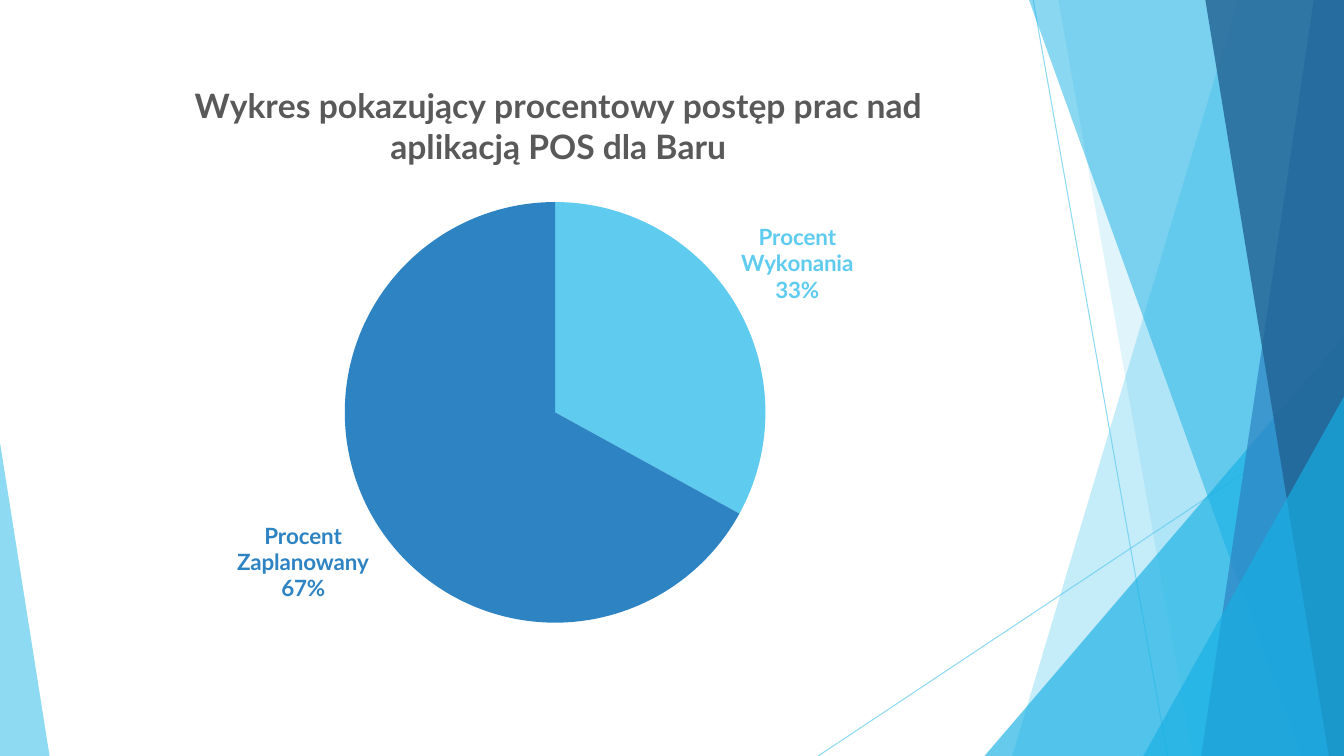
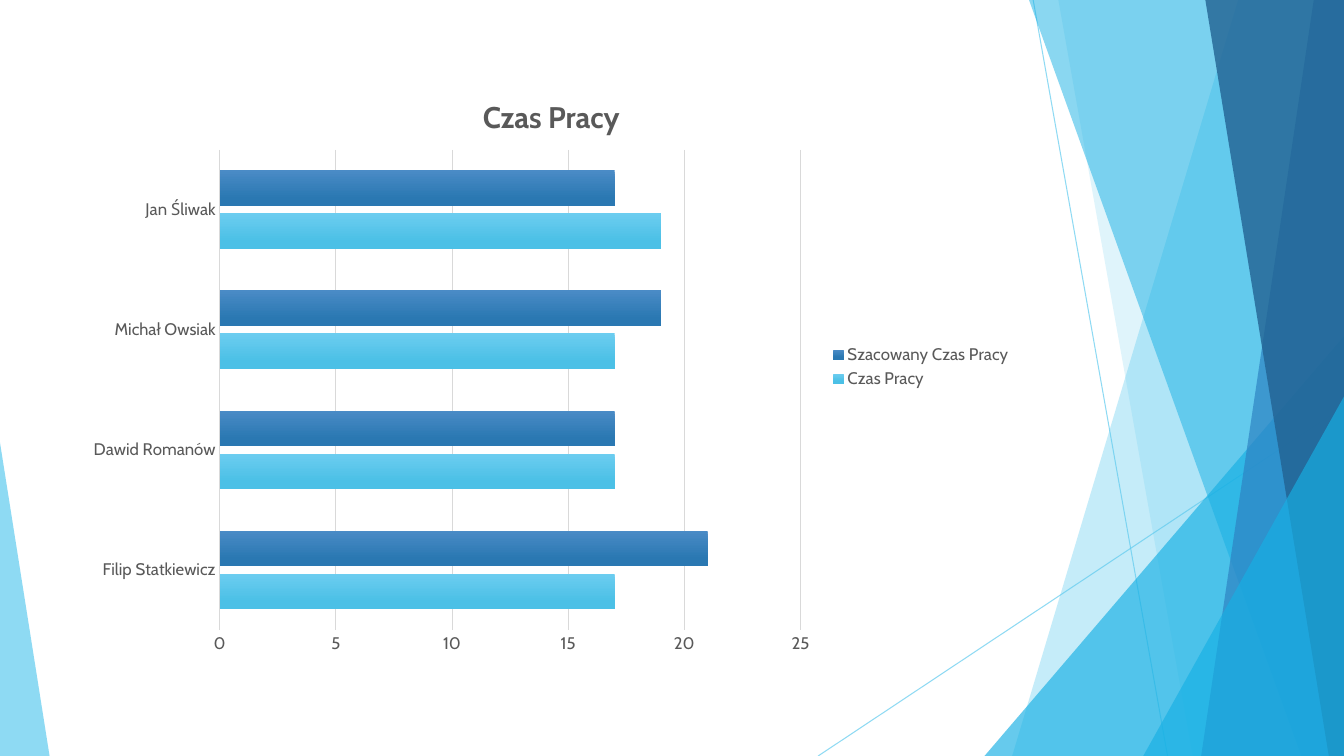
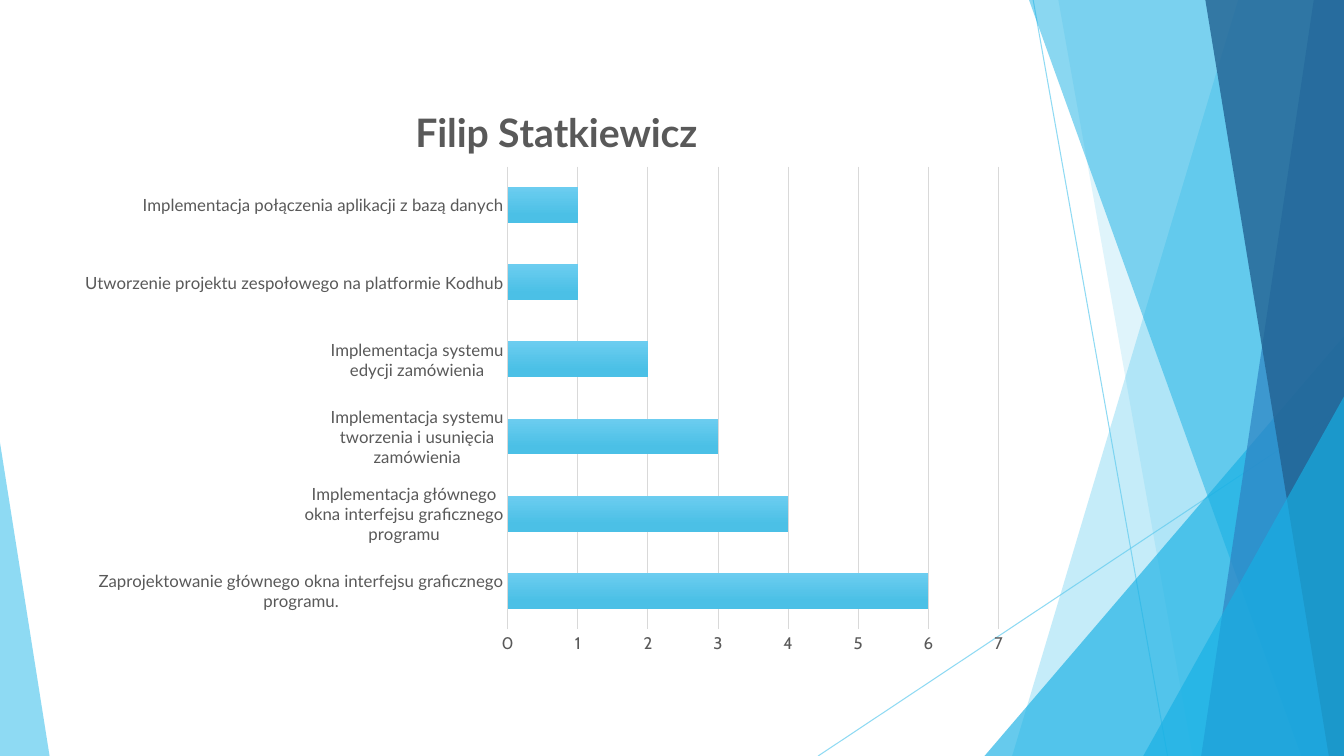
from lxml.etree import SubElement
from pptx import Presentation
from pptx.chart.data import CategoryChartData
from pptx.dml.color import RGBColor
from pptx.enum.chart import XL_CHART_TYPE, XL_LABEL_POSITION, XL_LEGEND_POSITION, XL_TICK_MARK
from pptx.enum.shapes import MSO_CONNECTOR, MSO_SHAPE
from pptx.oxml.ns import qn
from pptx.util import Inches, Pt

COLUMNS, ROWS = 16, 9
COLORS = {
    "sky": "5FCBEF", "cyan": "17B0E4", "blue": "2E83C3", "navy": "226292",
    "text": "595959", "grid": "D9D9D9",
    "sky_top": "6CCDF0", "sky_bottom": "4BC0E6",
    "blue_top": "4A8BC6", "blue_bottom": "2A78B2",
}
SKY_BARS = ("sky_top", "sky_bottom")
BLUE_BARS = ("blue_top", "blue_bottom")


def rgb(name):
    """Return the named colour."""
    return RGBColor.from_string(COLORS[name])


def style_font(font, size, name="Cabin", color="text", bold=False):
    """Format a font."""
    font.size, font.name, font.bold = Pt(size), name, bold
    font.color.rgb = rgb(color)


def write(frame, text, **style):
    """Put one formatted span of text into a text frame."""
    span = frame.paragraphs[0].add_run()
    span.text = text
    style_font(span.font, **style)


def set_opacity(shape, percent):
    """Make the explicit colours of a shape partly transparent."""
    for color in shape.element.iter(qn("a:srgbClr")):
        SubElement(color, qn("a:alpha"), val=str(percent * 1000))


def set_layout(parent, index, inner=False, **shares):
    """Place a chart part by shares (x, y, w, h) of the chart's size."""
    layout = parent.find(qn("c:layout"))
    if layout is None:
        layout = SubElement(parent, qn("c:layout"))
        parent.insert(index, layout)
    manual = SubElement(layout, qn("c:manualLayout"))
    if inner:
        SubElement(manual, qn("c:layoutTarget"), val="inner")
    for side in ("x", "y"):
        SubElement(manual, qn(f"c:{side}Mode"), val="edge")
    for side, share in shares.items():
        SubElement(manual, qn(f"c:{side}"), val=str(share))


def show_share_and_name(label):
    """Make a point label show its category above its percentage."""
    for tag in ("showVal", "showCatName", "showPercent"):
        label.find(qn(f"c:{tag}")).set("val", "0" if tag == "showVal" else "1")
    SubElement(label, qn("c:separator")).text = "\n"


class ChartDeck:
    """A deck of charts with a shared faceted background."""

    def __init__(self):
        """Set the slide size and draw the background on the layout."""
        self.deck = Presentation()
        self.deck.slide_width, self.deck.slide_height = Inches(13.333), Inches(7.5)
        self.layout = self.deck.slide_layouts[6]
        self.add_page()
        self.draw_background()

    def add_page(self):
        """Start a new slide."""
        self.page = self.deck.slides.add_slide(self.layout)

    def across(self, columns):
        """Convert columns to a length."""
        return round(self.deck.slide_width * columns / COLUMNS)

    def down(self, rows):
        """Convert rows to a length."""
        return round(self.deck.slide_height * rows / ROWS)

    def fill(self, shape, color, opacity):
        """Give a shape a flat transparent fill without outline or shadow."""
        shape.shadow.inherit = False
        shape.fill.solid()
        shape.fill.fore_color.rgb = rgb(color)
        shape.line.fill.background()
        set_opacity(shape, opacity)

    def line(self, left, top, right, bottom):
        """Draw a thin transparent line."""
        connector = self.page.shapes.add_connector(
            MSO_CONNECTOR.STRAIGHT, self.across(left), self.down(top),
            self.across(right), self.down(bottom))
        connector.line.color.rgb = rgb("sky")
        connector.line.width = Pt(0.75)
        set_opacity(connector, 70)
        SubElement(connector.element.spPr, qn("a:effectLst"))

    def band(self, top_left, bottom_left, color, opacity):
        """Draw a slanted band that reaches the right edge."""
        right, bottom = self.deck.slide_width, self.deck.slide_height
        outline = self.page.shapes.build_freeform(self.across(top_left), 0)
        outline.add_line_segments(
            [(right, 0), (right, bottom), (self.across(bottom_left), bottom)])
        self.fill(outline.convert_to_shape(), color, opacity)

    def corner(self, left, top, right, peak, color, opacity):
        """Draw a triangle that stands on the bottom edge."""
        shape = self.page.shapes.add_shape(
            MSO_SHAPE.ISOSCELES_TRIANGLE, self.across(left), self.down(top),
            self.across(right - left), self.down(ROWS - top))
        shape.adjustments[0] = peak
        self.fill(shape, color, opacity)

    def draw_background(self):
        """Draw the facets and hand them to the layout all slides use."""
        for placeholder in list(self.layout.placeholders):
            self.layout.shapes.element.remove(placeholder.element)
        self.line(12.3, 0, 13.9, ROWS)
        self.line(COLUMNS, 4.84, 9.74, ROWS)
        self.band(14.74, 12.05, "sky", 36)
        self.band(12.6, 14.2, "sky", 20)
        self.corner(11.72, 4, COLUMNS, 1, "cyan", 66)
        self.band(12.25, 15.49, "cyan", 50)
        self.band(15.64, 14.3, "blue", 70)
        self.band(14.35, 15.82, "navy", 80)
        self.corner(13.61, 4.72, COLUMNS, 1, "cyan", 66)
        self.corner(0, 5.27, 0.59, 0, "sky", 70)
        for shape in list(self.page.shapes):
            self.layout.shapes.element.append(shape.element)

    def chart(self, kind, top, title, title_at, plot_at, categories, series, **title_style):
        """Add a titled chart that ends on a shared baseline."""
        data = CategoryChartData()
        data.categories = categories
        for name, values in series:
            data.add_series(name, values)
        chart = self.page.shapes.add_chart(
            kind, self.across(0.89), self.down(top), self.across(11.28),
            self.down(7.93 - top), data).chart
        style_font(chart.font, 12)
        chart.has_legend = False
        chart.has_title = True
        write(chart.chart_title.text_frame, title, bold=True, **title_style)
        chart.chart_title.include_in_layout = False
        set_layout(chart.chart_title.element, 1, **dict(zip("xy", title_at)))
        plot_area = chart.element.find(f".//{qn('c:plotArea')}")
        set_layout(plot_area, 0, inner=True, **dict(zip("xywh", plot_at)))
        return chart

    def pie(self, colors, **content):
        """Add a pie chart with labels in the colours of its slices."""
        chart = self.chart(XL_CHART_TYPE.PIE, 0.6, **content)
        slices = chart.plots[0].series[0]
        labels = slices.data_labels
        labels.show_value = False
        labels.show_percentage = labels.show_category_name = True
        labels.position = XL_LABEL_POSITION.OUTSIDE_END
        for index, color in enumerate(colors):
            point = slices.points[index]
            point.format.fill.solid()
            point.format.fill.fore_color.rgb = rgb(color)
            style_font(point.data_label.font, 16, "Lato", color, bold=True)
            point.data_label.position = XL_LABEL_POSITION.OUTSIDE_END
        for label in slices.data_labels._element.findall(qn("c:dLbl")):
            show_share_and_name(label)

    def bars(self, gradients, maximum, step, label_font="Cabin", legend=False, **content):
        """Add a clustered bar chart with shaded bars."""
        chart = self.chart(XL_CHART_TYPE.BAR_CLUSTERED, 0.8, **content)
        plot = chart.plots[0]
        plot.gap_width, plot.overlap, plot.vary_by_categories = 115, -20, False
        for bar, gradient in zip(plot.series, gradients):
            bar.invert_if_negative = False
            fill = bar.format.fill
            fill.gradient()
            fill.gradient_angle = 270
            for stop, color, position in zip(fill.gradient_stops, gradient, (0, 0.78)):
                stop.color.rgb, stop.position = rgb(color), position
        names, scale = chart.category_axis, chart.value_axis
        for axis, font in ((names, label_font), (scale, "Cabin")):
            axis.major_tick_mark = axis.minor_tick_mark = XL_TICK_MARK.NONE
            style_font(axis.tick_labels.font, 12, font)
        names.format.line.color.rgb = rgb("grid")
        names.format.line.width = Pt(1)
        scale.minimum_scale, scale.maximum_scale, scale.major_unit = 0, maximum, step
        scale.format.line.fill.background()
        scale.major_gridlines.format.line.color.rgb = rgb("grid")
        scale.major_gridlines.format.line.width = Pt(0.75)
        if legend:
            chart.has_legend = True
            chart.legend.position = XL_LEGEND_POSITION.RIGHT
            chart.legend.include_in_layout = False
            style_font(chart.legend.font, 12)


charts = ChartDeck()
charts.pie(
    ["sky", "blue"],
    title="Wykres pokazujący procentowy postęp prac nad aplikacją POS dla Baru",
    title_at=(0.12, 0.04), plot_at=(0.285, 0.246, 0.444, 0.684), size=24, name="Lato",
    categories=["Procent Wykonania", "Procent Zaplanowany"],
    series=[("Series 1", (33, 67))])

charts.add_page()
charts.bars(
    [SKY_BARS, BLUE_BARS], maximum=25, step=5, legend=True,
    title="Czas Pracy", title_at=(0.425, 0.04), plot_at=(0.153, 0.138, 0.613, 0.802), size=21.3,
    categories=["Filip Statkiewicz", "Dawid Romanów", "Michał Owsiak", "Jan Śliwak"],
    series=[("Czas Pracy", (17, 17, 17, 19)), ("Szacowany Czas Pracy", (21, 17, 19, 17))])

charts.add_page()
charts.bars(
    [SKY_BARS], maximum=7, step=1, label_font="Lato",
    title="Filip Statkiewicz", title_at=(0.352, 0.05), plot_at=(0.457, 0.166, 0.518, 0.773),
    size=28, name="Lato",
    categories=[
        "Zaprojektowanie głównego okna interfejsu graficznego\nprogramu.",
        "Implementacja głównego\nokna interfejsu graficznego\nprogramu",
        "Implementacja systemu\ntworzenia i usunięcia\nzamówienia",
        "Implementacja systemu\nedycji zamówienia",
        "Utworzenie projektu zespołowego na platformie Kodhub",
        "Implementacja połączenia aplikacji z bazą danych",
    ],
    series=[("Series 1", (6, 4, 3, 2, 1, 1))])

charts.deck.save("out.pptx")
